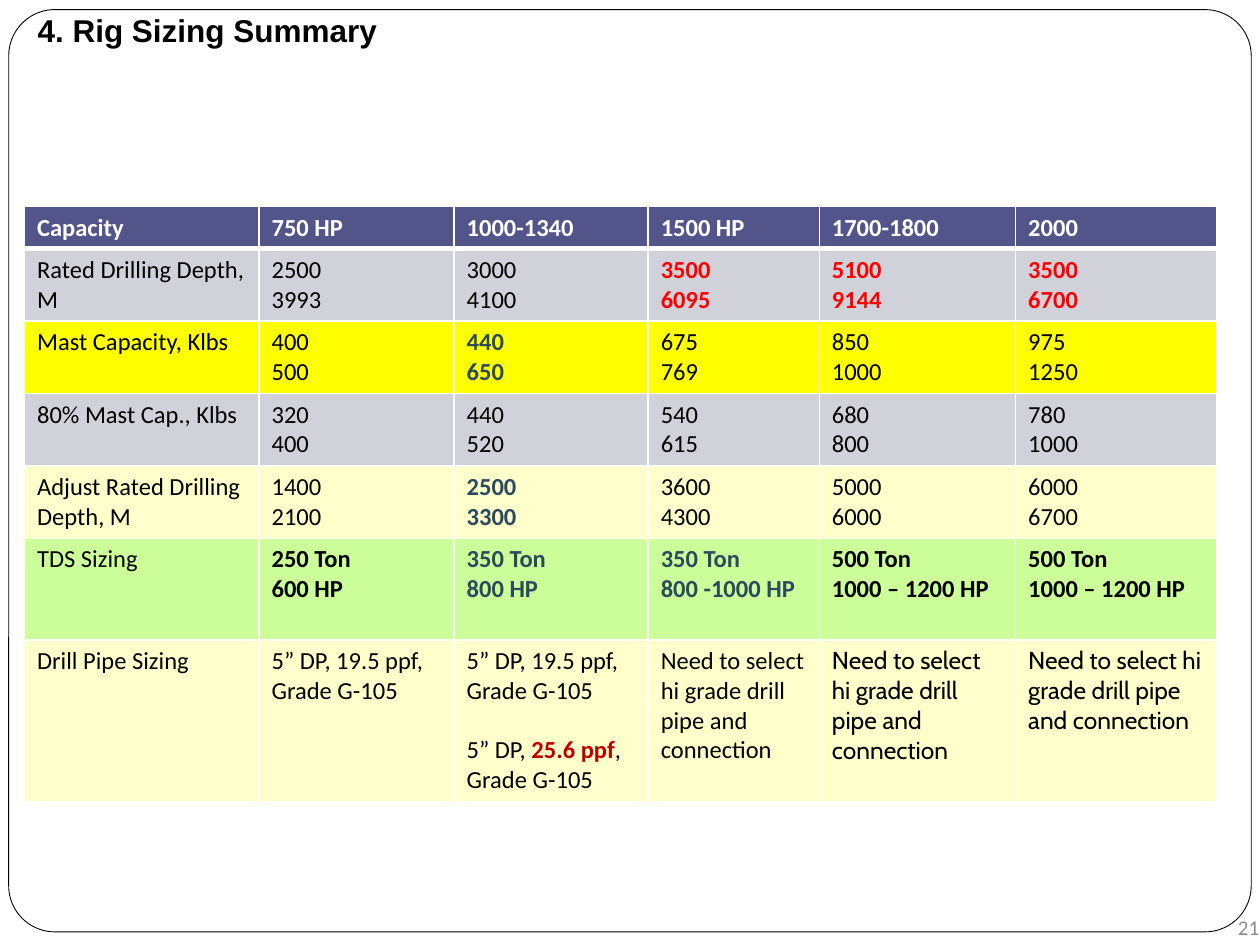
import pptx
import pptx.util
import pptx.dml.color
import pptx.enum.shapes
import pptx.enum.text
import pptx.oxml
import pptx.oxml.ns

Pt = pptx.util.Pt
ALIGN = pptx.enum.text.PP_ALIGN
MIDDLE = pptx.enum.text.MSO_ANCHOR.MIDDLE
SHAPES = pptx.enum.shapes.MSO_SHAPE

COLORS = {
    "white": "FFFFFF", "black": "000000", "grey": "8C8C8C",
    "header": "53548A", "lavender": "D1D1DA", "yellow": "FFFF00",
    "cream": "FFFFCC", "green": "CCFF99",
    "red": "FF0000", "dark red": "C00000", "slate": "2B4A5E",
}

COLUMN_WIDTHS = [134, 111.5, 110.9, 97.8, 112.2, 115.1]
PIPE = "5” DP, 19.5 ppf, Grade G-105"
HIGH_GRADE = "Need to select hi grade drill pipe and connection"
HEADER = {"color": "white", "bold": True}
RED = {"color": "red", "bold": True}
SLATE = {"color": "slate", "bold": True}
BOLD = {"bold": True}
CABIN = {"font": "Cabin"}

# Height, fill, cell texts, text formats by column
ROWS = [
    (24, "header",
     ["Capacity", "750 HP", "1000-1340", "1500 HP", "1700-1800", "2000"],
     dict.fromkeys(range(6), HEADER)),
    (41.4, "lavender",
     ["Rated Drilling Depth, M", "2500\n3993", "3000\n4100", "3500\n6095", "5100\n9144", "3500\n6700"],
     dict.fromkeys((3, 4, 5), RED)),
    (41.4, "yellow",
     ["Mast Capacity, Klbs", "400\n500", "440\n650", "675\n769", "850\n1000", "975\n1250"],
     {2: SLATE}),
    (41.4, "lavender",
     ["80% Mast Cap., Klbs", "320\n400", "440\n520", "540\n615", "680\n800", "780\n1000"],
     {}),
    (41.4, "cream",
     ["Adjust Rated Drilling Depth, M", "1400\n2100", "2500\n3300", "3600\n4300", "5000\n6000", "6000\n6700"],
     {2: SLATE}),
    (58, "green",
     ["TDS Sizing", "250 Ton\n600 HP", "350 Ton\n800 HP", "350 Ton\n800 -1000 HP",
      "500 Ton\n1000 – 1200 HP", "500 Ton\n1000 – 1200 HP"],
     {1: BOLD, 2: SLATE, 3: SLATE, 4: BOLD, 5: BOLD}),
    (92.6, "cream",
     ["Drill Pipe Sizing", PIPE, PIPE, HIGH_GRADE, HIGH_GRADE, HIGH_GRADE],
     {4: CABIN, 5: CABIN}),
]


def rgb(name):
    return pptx.dml.color.RGBColor.from_string(COLORS[name])


def add_text(paragraph, text, font="Calibri", size=14, color="black", bold=False):
    run = paragraph.add_run()
    run.text = text
    run.font.name = font
    run.font.size = Pt(size)
    run.font.bold = bold
    run.font.color.rgb = rgb(color)


def add_text_box(slide, box, margins):
    """Wrapping, vertically centred text box; returns its first paragraph."""
    frame = slide.shapes.add_textbox(*map(Pt, box)).text_frame
    frame.word_wrap = True
    frame.vertical_anchor = MIDDLE
    (frame.margin_left, frame.margin_top,
     frame.margin_right, frame.margin_bottom) = map(Pt, margins)
    return frame.paragraphs[0]


def add_frame(slide, left, top, width, height):
    """Rounded outline around the whole slide."""
    shape = slide.shapes.add_shape(
        SHAPES.ROUNDED_RECTANGLE, Pt(left), Pt(top), Pt(width), Pt(height))
    shape.adjustments[0] = 0.05
    shape.shadow.inherit = False
    shape.fill.solid()
    shape.fill.fore_color.rgb = rgb("white")
    shape.line.color.rgb = rgb("black")
    shape.line.width = Pt(0.5)


def add_page_number(slide, *box):
    paragraph = add_text_box(slide, box, (0, 0, 0, 0))
    paragraph.alignment = ALIGN.RIGHT
    add_text(paragraph, "21", size=12, color="grey")


def add_title(slide, *box):
    paragraph = add_text_box(slide, box, (7.2, 3.6, 7.2, 7.2))
    paragraph.alignment = ALIGN.JUSTIFY
    paragraph.line_spacing = 0.8
    add_text(paragraph, "4. Rig Sizing Summary", font="Arial", size=18, bold=True)


def set_borders(cell, top, bottom):
    """White cell borders; the side borders are one point wide."""
    properties = cell._tc.get_or_add_tcPr()
    widths = {"lnL": 1, "lnR": 1, "lnT": top, "lnB": bottom}
    for index, (tag, width) in enumerate(widths.items()):
        properties.insert(index, pptx.oxml.parse_xml(
            f'<a:{tag} {pptx.oxml.ns.nsdecls("a")} w="{Pt(width)}"><a:solidFill>'
            f'<a:srgbClr val="{COLORS["white"]}"/></a:solidFill></a:{tag}>'))


def fill_cell(cell, text, **text_format):
    frame = cell.text_frame
    for index, line in enumerate(text.split("\n")):
        paragraph = frame.add_paragraph() if index else frame.paragraphs[0]
        add_text(paragraph, line, **text_format)


def add_heavy_pipe(cell):
    """Second pipe option, one line below the first."""
    paragraph = cell.text_frame.add_paragraph()
    paragraph.space_before = Pt(17)
    add_text(paragraph, "5” DP, ")
    add_text(paragraph, "25.6 ppf", color="dark red", bold=True)
    add_text(paragraph, ", Grade G-105")


def add_sizing_table(slide, left, top):
    height = sum(row[0] for row in ROWS)
    table = slide.shapes.add_table(
        len(ROWS), len(COLUMN_WIDTHS), Pt(left), Pt(top),
        Pt(sum(COLUMN_WIDTHS)), Pt(height)).table
    for column, width in zip(table.columns, COLUMN_WIDTHS):
        column.width = Pt(width)
    for row_index, (row_height, fill, texts, formats) in enumerate(ROWS):
        table.rows[row_index].height = Pt(row_height)
        for column_index, text in enumerate(texts):
            cell = table.cell(row_index, column_index)
            cell.fill.solid()
            cell.fill.fore_color.rgb = rgb(fill)
            set_borders(cell, top=3 if row_index == 1 else 1,
                        bottom=3 if row_index == 0 else 1)
            fill_cell(cell, text, **formats.get(column_index, {}))
    add_heavy_pipe(table.cell(len(ROWS) - 1, 2))


def main():
    presentation = pptx.Presentation()
    presentation.slide_width, presentation.slide_height = Pt(720), Pt(540)
    slide = presentation.slides.add_slide(presentation.slide_layouts[6])
    add_frame(slide, 5, 5.5, 710, 527)
    add_page_number(slide, 695.5, 520, 24, 20)
    add_title(slide, 14.4, 3.6, 612, 34.5)
    add_sizing_table(slide, 14, 118)
    presentation.save("out.pptx")


if __name__ == "__main__":
    main()
